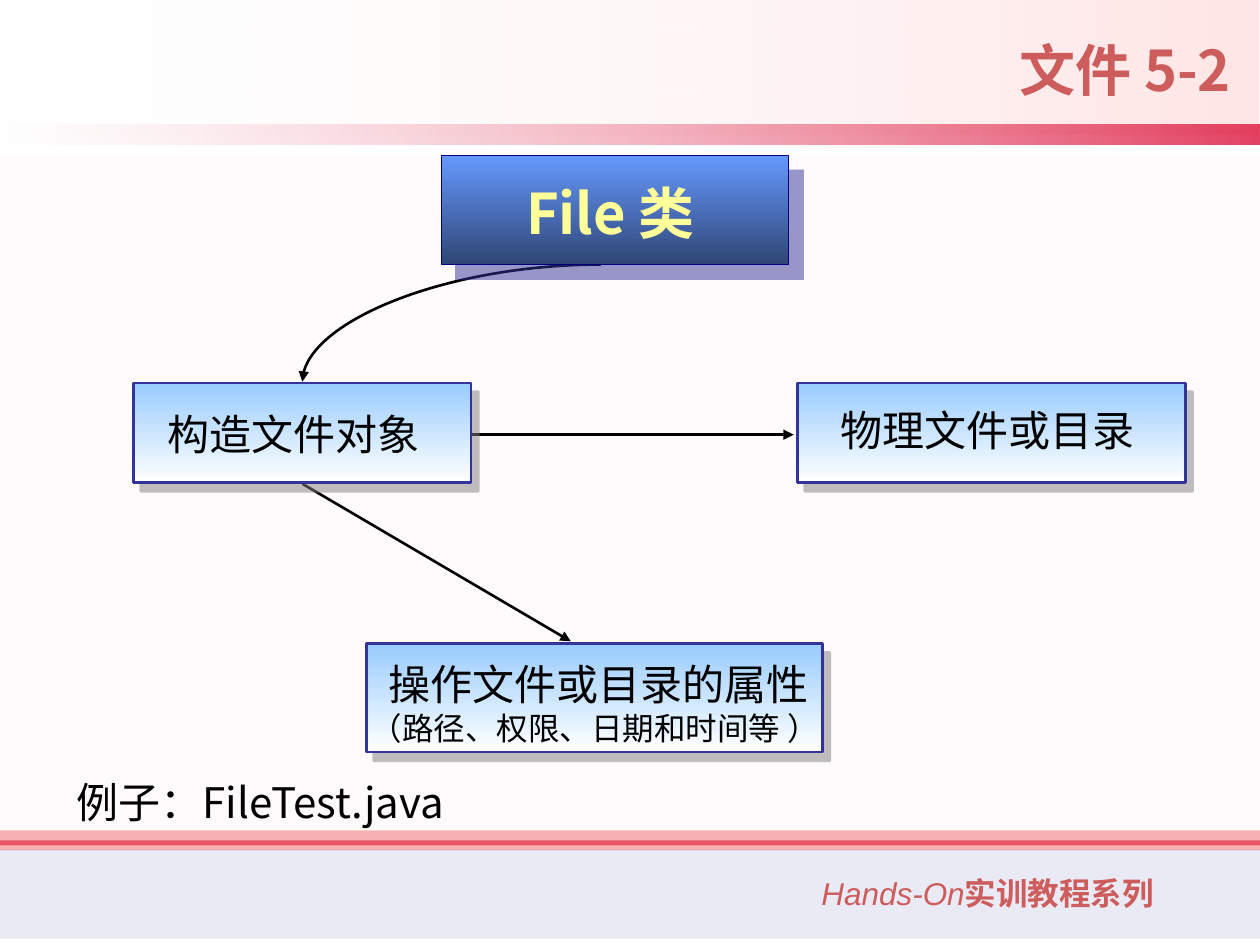
from lxml.etree import SubElement
from pptx import Presentation
from pptx.dml.color import RGBColor
from pptx.enum.shapes import MSO_CONNECTOR as Connector, MSO_SHAPE as Shape
from pptx.enum.text import MSO_ANCHOR as Anchor, PP_ALIGN as Align
from pptx.oxml.ns import qn
from pptx.util import Inches, Pt

CJK = "Noto Sans CJK SC"
BODY = {"size": Pt(24), "name": CJK, "color": "000000"}
HEADING = {"size": Pt(32), "name": CJK, "bold": True, "color": "CD5C5C"}
FOOTER = {"size": Pt(18), "name": "Arial", "color": "CD5C5C"}
STEP = {"stops": ("99CCFF", "FFFFFF"), "line": ("333399", 1.5), "shadow": ("808080", 6.4, 51)}
CLASS = {"stops": ("6699FF", "2F4675"), "line": ("000080", 0.25), "shadow": ("333399", 12.1, 45)}


def color(value):
    return RGBColor.from_string(value)


def add_alpha(color_element, percent):
    SubElement(color_element, qn("a:alpha"), val=str(percent * 1000))


def add_rectangle(shapes, place):
    box = shapes.add_shape(Shape.RECTANGLE, *map(Inches, place))
    box.shadow.inherit = False
    box.line.fill.background()
    return box


def fill_gradient(box, stops, angle, alphas=()):
    """Fill from the first to the last colour, with angle counted counterclockwise."""
    box.fill.gradient()
    box.fill.gradient_angle = angle
    for stop, value in zip(box.fill.gradient_stops, stops):
        stop.color.rgb = color(value)
    stop_colors = box._element.spPr.findall(".//" + qn("a:gs") + "/" + qn("a:srgbClr"))
    for stop_color, percent in zip(stop_colors, alphas):
        add_alpha(stop_color, percent)


def add_band(shapes, place, value, alpha=100):
    band = add_rectangle(shapes, place)
    band.fill.solid()
    band.fill.fore_color.rgb = color(value)
    if alpha < 100:
        add_alpha(band._element.spPr.find(".//" + qn("a:srgbClr")), alpha)


def add_fade(shapes, place, stops, alphas):
    fill_gradient(add_rectangle(shapes, place), stops, 180, alphas)


def add_shadow(box, value, distance, angle):
    effects = box._element.spPr.find(qn("a:effectLst"))
    shadow = SubElement(effects, qn("a:outerShdw"), blurRad="0", dist=str(Pt(distance)),
                        dir=str(angle * 60000), algn="ctr", rotWithShape="0")
    add_alpha(SubElement(shadow, qn("a:srgbClr"), val=value), 50)


def add_run(para, text, look):
    span = para.add_run()
    span.text = text
    for name, value in look.items():
        if name == "color":
            span.font.color.rgb = color(value)
        else:
            setattr(span.font, name, value)
    SubElement(span._r.get_or_add_rPr(), qn("a:ea"), typeface=CJK)


def write(frame, lines, align=Align.LEFT, before=0):
    """Write lines, each a list of (text, look) runs."""
    for index, runs in enumerate(lines):
        para = frame.add_paragraph() if index else frame.paragraphs[0]
        para.alignment = align
        para.space_before = Pt(before)
        for text, look in runs:
            add_run(para, text, look)


def add_text(shapes, place, lines, align=Align.LEFT, before=0, wrap=True):
    box = shapes.add_textbox(*map(Inches, place))
    box.text_frame.word_wrap = wrap
    write(box.text_frame, lines, align, before)


def add_panel(shapes, style, place, text_place, lines, align=Align.CENTER, before=15):
    """Group a shaded, shadowed rectangle with its label."""
    group = shapes.add_group_shape()
    box = add_rectangle(group.shapes, place)
    fill_gradient(box, style["stops"], 270)
    line_color, width = style["line"]
    box.line.color.rgb = color(line_color)
    box.line.width = Pt(width)
    add_shadow(box, *style["shadow"])
    add_text(group.shapes, text_place, lines, align, before)


def add_arrow(shapes, start, end, kind=Connector.STRAIGHT):
    arrow = shapes.add_connector(kind, *map(Inches, start + end))
    arrow.line.color.rgb = color("000000")
    arrow.line.width = Pt(1.5)
    SubElement(arrow.line._get_or_add_ln(), qn("a:tailEnd"), type="triangle")
    SubElement(arrow._element.spPr, qn("a:effectLst"))
    return arrow


def add_background(shapes):
    add_band(shapes, (0, 6.67, 10, 0.04), "DC143C")
    add_band(shapes, (0, 6.59, 10, 0.16), "F08080", 60)
    add_band(shapes, (0, 1.23, 10, 5.35), "FFF0F5", 30)
    add_band(shapes, (0, 6.74, 10, 0.71), "333399", 10)
    series = [("Hands-On", FOOTER | {"italic": True}), ("实训教程系列", FOOTER | {"bold": True})]
    add_text(shapes, (6.42, 6.89, 2.92, 0.4), [series], wrap=False)
    add_fade(shapes, (0, 0, 9.99, 1.07), ("FFCCCC", "FFFFFF"), (50, 10))
    add_fade(shapes, (0, 0.99, 10, 0.16), ("DC143C", "FFFFFF"), (80, 40))


def place_title(shapes, text):
    title = shapes.title
    shapes._spTree.append(title._element)
    for side, value in zip(("left", "top", "width", "height"), (2.9, 0.19, 6.97, 0.71)):
        setattr(title, side, Inches(value))
    title.text_frame.vertical_anchor = Anchor.MIDDLE
    write(title.text_frame, [[(text, HEADING)]], Align.RIGHT)


def add_arrows(shapes):
    curve = add_arrow(shapes, (4.77, 2.1), (2.4, 3.03), Connector.CURVE)
    curve._element.spPr.find(qn("a:prstGeom")).set("prst", "curvedConnector2")
    add_arrow(shapes, (2.4, 3.84), (4.53, 5.09))
    add_arrow(shapes, (3.41, 3.45), (6.3, 3.45))


def add_panels(shapes):
    add_panel(shapes, CLASS, (3.5, 1.23, 2.76, 0.87), (3.82, 1.37, 2.05, 0.64),
              [[("File 类", HEADING | {"color": "FFFF99"})]], before=20)
    add_panel(shapes, STEP, (6.33, 3.04, 3.08, 0.79), (6.26, 3.16, 3.15, 0.5),
              [[("物理文件或目录", BODY)]])
    add_panel(shapes, STEP, (1.06, 3.04, 2.68, 0.79), (1.23, 3.19, 2.34, 0.5),
              [[("构造文件对象", BODY)]], Align.LEFT)
    add_panel(shapes, STEP, (2.91, 5.11, 3.62, 0.86), (2.83, 5.18, 3.84, 0.8),
              [[("操作文件或目录的属性", BODY)],
               [("（路径、权限、日期和时间等 ） ", BODY | {"size": Pt(18)})]], before=0)


def main():
    deck = Presentation()
    deck.slide_width, deck.slide_height = Inches(10), Inches(7.5)
    page = deck.slides.add_slide(deck.slide_layouts[5])
    add_background(page.shapes)
    place_title(page.shapes, "文件 5-2")
    add_arrows(page.shapes)
    add_panels(page.shapes)
    add_text(page.shapes, (0.51, 6.11, 9.06, 0.5), [[("例子：FileTest.java", BODY)]], before=15)
    deck.save("out.pptx")


if __name__ == "__main__":
    main()
